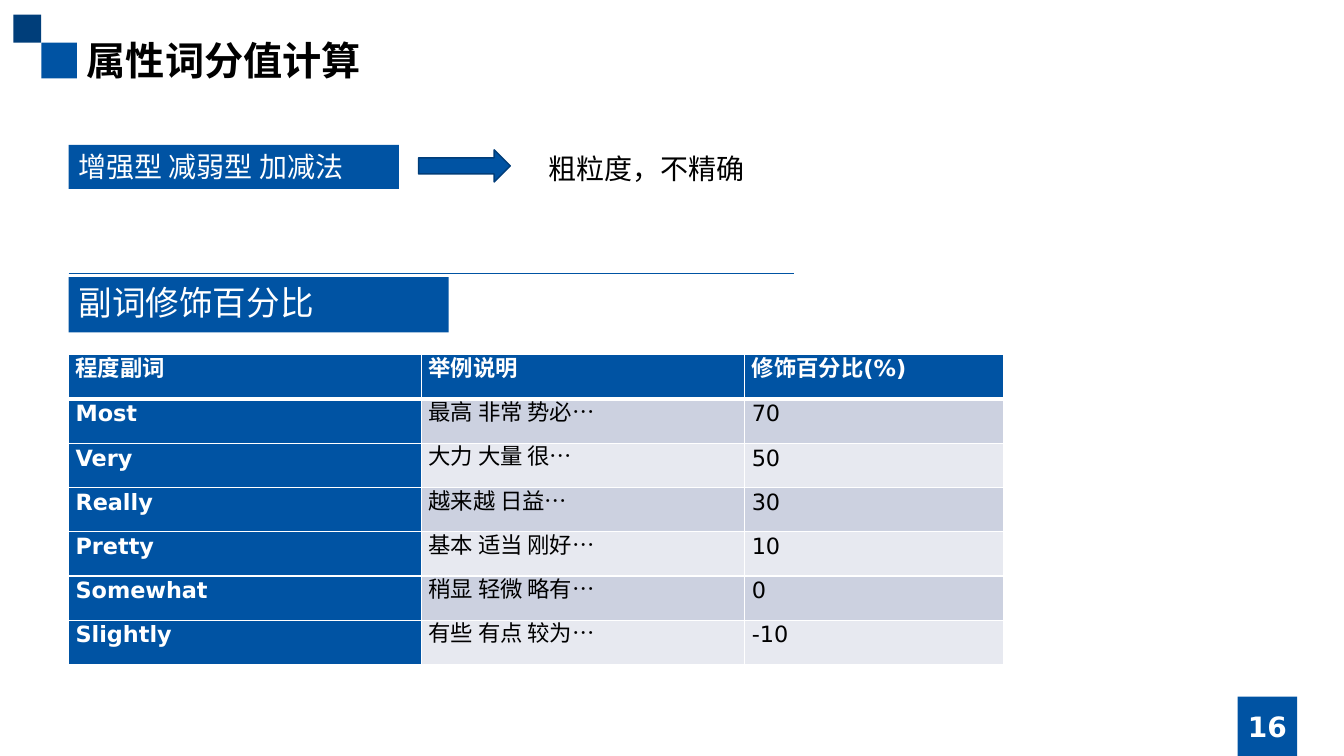
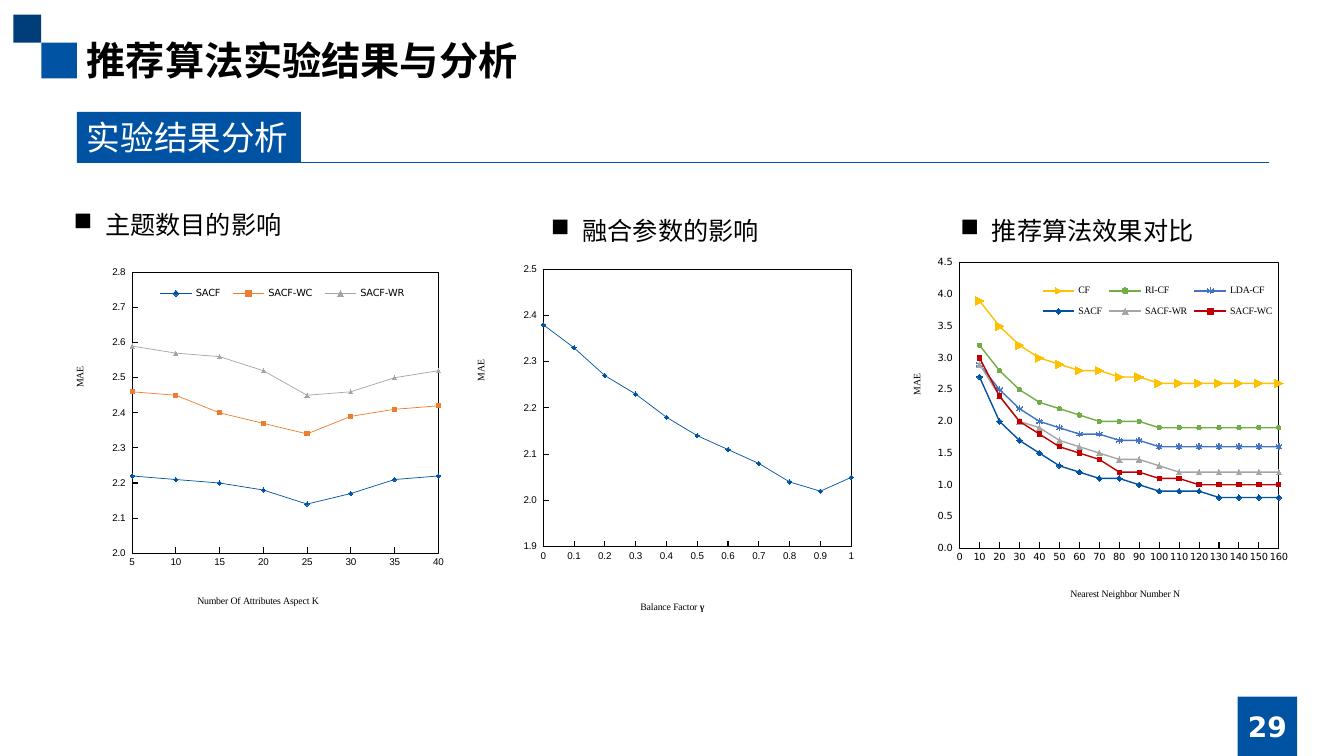
from lxml import etree
from pptx import Presentation
from pptx.chart.data import CategoryChartData
from pptx.dml.color import RGBColor
from pptx.enum.chart import XL_CHART_TYPE, XL_LEGEND_POSITION, XL_MARKER_STYLE, XL_TICK_MARK
from pptx.enum.shapes import MSO_CONNECTOR, MSO_SHAPE
from pptx.enum.text import MSO_ANCHOR, PP_ALIGN
from pptx.oxml.ns import qn
from pptx.util import Pt

RECT, ARROW = MSO_SHAPE.RECTANGLE, MSO_SHAPE.RIGHT_ARROW
STRAIGHT = MSO_CONNECTOR.STRAIGHT
TOP, MIDDLE = MSO_ANCHOR.TOP, MSO_ANCHOR.MIDDLE
LEFT, CENTER = PP_ALIGN.LEFT, PP_ALIGN.CENTER
LINE_MARKERS = XL_CHART_TYPE.LINE_MARKERS
LEGEND_TOP = XL_LEGEND_POSITION.TOP
TICK_IN, TICK_NONE = XL_TICK_MARK.INSIDE, XL_TICK_MARK.NONE
DIAMOND, SQUARE = XL_MARKER_STYLE.DIAMOND, XL_MARKER_STYLE.SQUARE
TRIANGLE, CIRCLE = XL_MARKER_STYLE.TRIANGLE, XL_MARKER_STYLE.CIRCLE
STAR, DOT = XL_MARKER_STYLE.STAR, XL_MARKER_STYLE.DOT

BLUE, NAVY, ARROW_EDGE = "0053A3", "003E7A", "003D79"
BLACK, WHITE = "000000", "FFFFFF"
ORANGE, GREY, GOLD = "ED7D31", "A5A5A5", "FFC000"
GREEN, SKY, RED = "70AD47", "4472C4", "C00000"
BANDS = ("CCD1E0", "E7E9F0")
SANS, SERIF, ARIAL = "DejaVu Sans", "Times New Roman", "Arial"
NUMBER_FORMAT = r"#,##0.0_);[Red]\(#,##0.0\)"

ADVERBS = (
    ("程度副词", "举例说明", "修饰百分比(%)"),
    ("Most", "最高 非常 势必…", "70"),
    ("Very", "大力 大量 很…", "50"),
    ("Really", "越来越 日益…", "30"),
    ("Pretty", "基本 适当 刚好…", "10"),
    ("Somewhat", "稍显 轻微 略有…", "0"),
    ("Slightly", "有些 有点 较为…", "-10"),
)

TOPIC_COUNT = {
    "cats": range(5, 41, 5), "scale": (2, 2.8, 0.1), "tick_font": ARIAL,
    "plot": (0.166, 0.071, 0.743, 0.727), "line_width": 0.5,
    "cat_title": (("Number Of Attributes Aspect K", False),), "cat_at": (0.32, 0.9),
    "val_at": (0.02, 0.31), "val_tick": TICK_IN,
    "legend": (0.21, 0.1, 0.64, 0.05), "legend_font": SANS,
    "series": (
        ("SACF", BLUE, DIAMOND, 3, (2.22, 2.21, 2.2, 2.18, 2.14, 2.17, 2.21, 2.22)),
        ("SACF-WC", ORANGE, SQUARE, 3, (2.46, 2.45, 2.4, 2.37, 2.34, 2.39, 2.41, 2.42)),
        ("SACF-WR", GREY, TRIANGLE, 3, (2.59, 2.57, 2.56, 2.52, 2.45, 2.46, 2.5, 2.52)),
    ),
}
BALANCE_FACTOR = {
    "cats": ("0", *(f"0.{tenth}" for tenth in range(1, 10)), "1"),
    "scale": (1.9, 2.5, 0.1), "tick_font": ARIAL,
    "plot": (0.208, 0.096, 0.693, 0.697), "line_width": 0.5,
    "cat_title": (("Balance Factor ", False), ("γ", True)), "cat_at": (0.42, 0.92),
    "val_at": (0.05, 0.32), "val_tick": TICK_IN, "legend": None,
    "series": (
        ("MAE", BLUE, DIAMOND, 3,
         (2.38, 2.33, 2.27, 2.23, 2.18, 2.14, 2.11, 2.08, 2.04, 2.02, 2.05)),
    ),
}
ALGORITHMS = {
    "cats": range(0, 161, 10), "scale": (0, 4.5, 0.5), "tick_font": SANS,
    "plot": (0.134, 0.079, 0.72, 0.68), "line_width": 1,
    "cat_title": (("Nearest Neighbor Number N", False),), "cat_at": (0.38, 0.85),
    "val_at": (0.02, 0.34), "val_tick": TICK_NONE,
    "legend": (0.31, 0.11, 0.54, 0.12), "legend_font": SERIF,
    "series": (
        ("CF", GOLD, DOT, 6, (None, 3.9, 3.5, 3.2, 3, 2.9, 2.8, 2.8, 2.7, 2.7,
                              2.6, 2.6, 2.6, 2.6, 2.6, 2.6, 2.6)),
        ("RI-CF", GREEN, CIRCLE, 3, (None, 3.2, 2.8, 2.5, 2.3, 2.2, 2.1, 2, 2, 2,
                                     1.9, 1.9, 1.9, 1.9, 1.9, 1.9, 1.9)),
        ("LDA-CF", SKY, STAR, 4, (None, 2.9, 2.5, 2.2, 2, 1.9, 1.8, 1.8, 1.7, 1.7,
                                  1.6, 1.6, 1.6, 1.6, 1.6, 1.6, 1.6)),
        ("SACF", BLUE, DIAMOND, 4, (None, 2.7, 2, 1.7, 1.5, 1.3, 1.2, 1.1, 1.1, 1,
                                    0.9, 0.9, 0.9, 0.8, 0.8, 0.8, 0.8)),
        ("SACF-WR", GREY, TRIANGLE, 4, (None, 2.9, 2.4, 2, 1.9, 1.7, 1.6, 1.5, 1.4, 1.4,
                                        1.3, 1.2, 1.2, 1.2, 1.2, 1.2, 1.2)),
        ("SACF-WC", RED, SQUARE, 3, (None, 3, 2.4, 2, 1.8, 1.6, 1.5, 1.4, 1.2, 1.2,
                                     1.1, 1.1, 1, 1, 1, 1, 1)),
    ),
}
EXPERIMENTS = (
    ("主题数目的影响", (45.5, 146), (45.5, 175, 294.5, 276), TOPIC_COUNT),
    ("融合参数的影响", (386.5, 150), (322, 165, 317.5, 284.5), BALANCE_FACTOR),
    ("推荐算法效果对比", (679, 150), (643, 164, 316.8, 300), ALGORITHMS),
)


def apply(target, **values):
    """Set each given attribute on the target."""
    for attribute, value in values.items():
        setattr(target, attribute, value)


def points(box):
    """Turn numbers into point lengths."""
    return [Pt(length) for length in box]


def paint(filled, color):
    """Give a fill holder a solid hex colour."""
    filled.fill.solid()
    filled.fill.fore_color.rgb = RGBColor.from_string(color)


def style_font(font, size, color=BLACK, name=SANS, bold=False):
    """Set size, face, weight and hex colour of a font."""
    apply(font, size=Pt(size), name=name, bold=bold)
    font.color.rgb = RGBColor.from_string(color)


def write(frame, text, size, color=BLACK, bold=False, align=LEFT, anchor=TOP, wrap=True):
    """Fill a text frame with one styled paragraph and return it."""
    apply(frame, word_wrap=wrap, vertical_anchor=anchor)
    paragraph = frame.paragraphs[0]
    paragraph.alignment = align
    run = paragraph.add_run()
    run.text = text
    style_font(run.font, size, color, bold=bold)
    return paragraph


def add_block(shapes, box, color, preset=RECT):
    """Add a flat preset shape without outline."""
    block = shapes.add_shape(preset, *points(box))
    block.shadow.inherit = False
    paint(block, color)
    block.line.fill.background()
    return block


def add_label(slide, box, text, size, **style):
    """Add a text box with one paragraph and return the paragraph."""
    return write(slide.shapes.add_textbox(*points(box)).text_frame, text, size, **style)


def new_slide(deck, title, number):
    """Start a slide with corner squares, title and page badge."""
    slide = deck.slides.add_slide(deck.slide_layouts[6])
    add_block(slide.shapes, (29.5, 30.5, 25.5, 25.5), BLUE)
    add_block(slide.shapes, (9.5, 10.5, 20, 20), NAVY)
    badge = add_block(slide.shapes, (884, 497.5, 42.5, 42.5), BLUE)
    write(badge.text_frame, number, 20, WHITE, True, CENTER, MIDDLE, False)
    add_label(slide, (55, 22.5, 850, 41), title, 28, bold=True)
    return slide


def add_heading(slide, box, text, rule_offset, rule_length):
    """Group a blue section tag with its thin rule."""
    left, top = box[:2]
    group = slide.shapes.add_group_shape()
    write(add_block(group.shapes, box, BLUE).text_frame, text, 24, WHITE, wrap=False)
    rule_top = top + rule_offset
    rule = group.shapes.add_connector(
        STRAIGHT, *points((left, rule_top, left + rule_length, rule_top)))
    rule.line.width = Pt(0.5)
    paint(rule.line, BLUE)
    etree.SubElement(rule._element.spPr, qn("a:effectLst"))


def add_method(slide, left, top):
    """Place the coarse method tag, arrow and remark."""
    tag = add_block(slide.shapes, (left, top, 236, 31.5), BLUE)
    write(tag.text_frame, "增强型 减弱型 加减法", 20, WHITE)
    arrow = add_block(slide.shapes, (left + 250, top + 3.5, 65.5, 23), BLUE, ARROW)
    arrow.line.width = Pt(1)
    paint(arrow.line, ARROW_EDGE)
    add_label(slide, (left + 335.5, top + 1, 156, 31.5), "粗粒度，不精确", 20)


def add_borders(cell, bottom_width):
    """Draw white borders around a table cell."""
    widths = {"lnL": 1, "lnR": 1, "lnT": 1, "lnB": bottom_width}
    for side, width in widths.items():
        edge = etree.SubElement(cell._tc.get_or_add_tcPr(), qn(f"a:{side}"), w=str(Pt(width)))
        solid = etree.SubElement(edge, qn("a:solidFill"))
        etree.SubElement(solid, qn("a:srgbClr"), val=WHITE)


def add_adverb_table(slide, left, top):
    """Place the table of degree adverbs."""
    widths, row_height = (252, 231, 185), 31.6
    box = (left, top, sum(widths), row_height * len(ADVERBS))
    table = slide.shapes.add_table(len(ADVERBS), len(widths), *points(box)).table
    for column, width in zip(table.columns, widths):
        column.width = Pt(width)
    for row, entries in enumerate(ADVERBS):
        for column, entry in enumerate(entries):
            cell = table.cell(row, column)
            head = row == 0 or column == 0
            apply(cell, margin_left=Pt(5), margin_right=Pt(5), margin_top=0, margin_bottom=0)
            add_borders(cell, 3 if row == 0 else 1)
            paint(cell, BLUE if head else BANDS[(row - 1) % 2])
            paragraph = write(cell.text_frame, entry, 16, WHITE if head else BLACK, head)
            paragraph.line_spacing = Pt(20)


def set_layout(parent, box, after=None, inner=False):
    """Give a chart part a manual layout in fractions of the chart."""
    for old in parent.findall(qn("c:layout")):
        parent.remove(old)
    layout = etree.Element(qn("c:layout"))
    manual = etree.SubElement(layout, qn("c:manualLayout"))
    values = {"layoutTarget": "inner"} if inner else {}
    values |= {"xMode": "edge", "yMode": "edge", **dict(zip("xywh", box))}
    for tag, value in values.items():
        etree.SubElement(manual, qn(f"c:{tag}"), val=str(value))
    if after:
        parent.find(qn(after)).addnext(layout)
    else:
        parent.insert(0, layout)


def style_axis(axis, runs, title_at, tick, tick_font, rotation):
    """Style one axis with its title, ticks and black line."""
    apply(axis, has_major_gridlines=False, major_tick_mark=tick, minor_tick_mark=TICK_NONE)
    style_font(axis.tick_labels.font, 7, name=tick_font)
    axis.format.line.width = Pt(0.75)
    paint(axis.format.line, BLACK)
    frame = axis.axis_title.text_frame
    for text, bold in runs:
        run = frame.paragraphs[0].add_run()
        run.text = text
        style_font(run.font, 7, name=SERIF, bold=bold)
    frame._txBody.find(qn("a:bodyPr")).set("rot", str(rotation))
    set_layout(axis.axis_title._element, title_at, "c:tx")


def frame_plot(chart, box):
    """Place the plot area, outline it and start lines on the axis."""
    plot_area = chart._chartSpace.chart.plotArea
    set_layout(plot_area, box, inner=True)
    outline = etree.SubElement(etree.SubElement(plot_area, qn("c:spPr")), qn("a:ln"),
                               w=str(Pt(0.75)))
    solid = etree.SubElement(outline, qn("a:solidFill"))
    etree.SubElement(solid, qn("a:srgbClr"), val=BLACK)
    value_axis = plot_area.find(qn("c:valAx"))
    crossing = value_axis.find(qn("c:crossBetween"))
    if crossing is None:
        crossing = etree.Element(qn("c:crossBetween"))
        value_axis.find(qn("c:crosses")).addnext(crossing)
    crossing.set("val", "midCat")


def add_line_chart(slide, box, model):
    """Place one experiment's line chart."""
    data = CategoryChartData()
    data.categories = [str(category) for category in model["cats"]]
    for name, *_, values in model["series"]:
        data.add_series(name, values)
    chart = slide.shapes.add_chart(LINE_MARKERS, *points(box), data).chart
    apply(chart, has_title=False, has_legend=bool(model["legend"]))
    style_font(chart.font, 10)
    chart.plots[0].vary_by_categories = False
    for series, (_, color, marker, size, _) in zip(chart.plots[0].series, model["series"]):
        series.smooth = False
        series.format.line.width = Pt(model["line_width"])
        apply(series.marker, style=marker, size=size)
        paint(series.marker.format, color)
        for line in (series.format.line, series.marker.format.line):
            paint(line, color)
    style_axis(chart.category_axis, model["cat_title"], model["cat_at"],
               TICK_IN, model["tick_font"], 0)
    style_axis(chart.value_axis, (("MAE", False),), model["val_at"],
               model["val_tick"], model["tick_font"], -5400000)
    low, high, step = model["scale"]
    apply(chart.value_axis, minimum_scale=low, maximum_scale=high, major_unit=step)
    apply(chart.value_axis.tick_labels, number_format=NUMBER_FORMAT,
          number_format_is_linked=False)
    frame_plot(chart, model["plot"])
    if model["legend"]:
        apply(chart.legend, position=LEGEND_TOP, include_in_layout=False)
        style_font(chart.legend.font, 7, name=model["legend_font"])
        set_layout(chart.legend._element, model["legend"], "c:legendPos")


def add_bullet(slide, left, top, text):
    """Place a square-bulleted caption."""
    paragraph = add_label(slide, (left, top, 236, 29), text, 18)
    properties = paragraph._p.get_or_add_pPr()
    apply_indent = {"marL": Pt(22.5), "indent": Pt(-22.5)}
    for attribute, value in apply_indent.items():
        properties.set(attribute, str(value))
    etree.SubElement(properties, qn("a:buChar"), char="■")


def build_score_slide(deck):
    """Build the slide on attribute word scores."""
    slide = new_slide(deck, "属性词分值计算", "16")
    add_heading(slide, (49, 198, 271.5, 39.5), "副词修饰百分比", -3, 518.5)
    add_adverb_table(slide, 49, 253.5)
    add_method(slide, 49, 103.5)


def build_result_slide(deck):
    """Build the slide on experiment results."""
    slide = new_slide(deck, "推荐算法实验结果与分析", "29")
    add_heading(slide, (55, 80, 160, 36), "实验结果分析", 36, 851.5)
    for caption, caption_at, chart_box, model in EXPERIMENTS:
        add_line_chart(slide, chart_box, model)
        add_bullet(slide, *caption_at, caption)


def main():
    """Build and save the deck."""
    deck = Presentation()
    apply(deck, slide_width=Pt(960), slide_height=Pt(540))
    build_score_slide(deck)
    build_result_slide(deck)
    deck.save("out.pptx")


if __name__ == "__main__":
    main()
